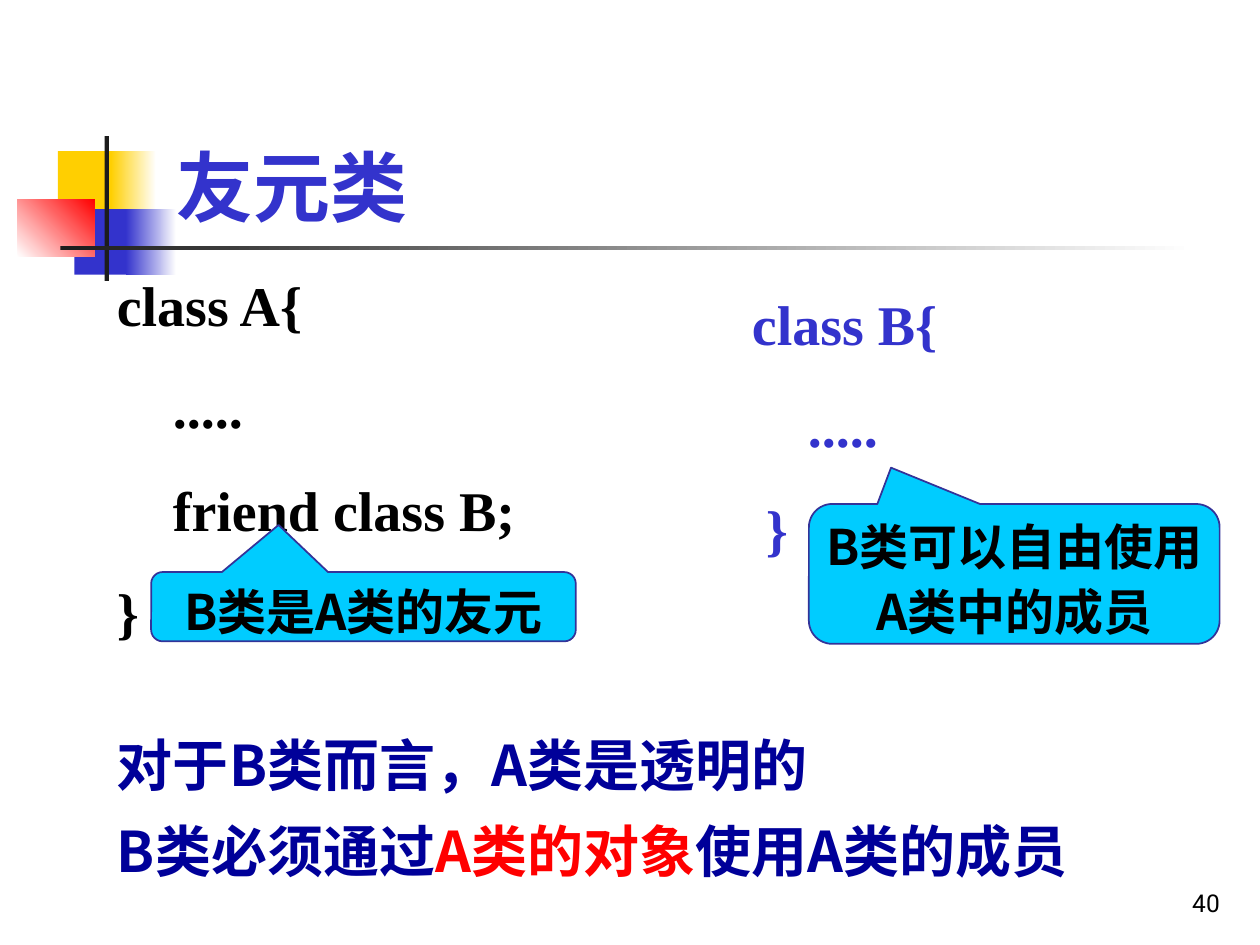
from dataclasses import dataclass
from typing import Optional

from lxml import etree
from pptx import Presentation
from pptx.dml.color import RGBColor
from pptx.enum.shapes import MSO_SHAPE
from pptx.enum.text import MSO_ANCHOR, MSO_AUTO_SIZE, PP_ALIGN
from pptx.oxml.ns import qn
from pptx.util import Inches, Pt

CELL = Inches(0.1)
COLUMNS, ROWS = 100, 75

RECTANGLE = MSO_SHAPE.RECTANGLE
CALLOUT = MSO_SHAPE.ROUNDED_RECTANGULAR_CALLOUT
TOP, BOTTOM = MSO_ANCHOR.TOP, MSO_ANCHOR.BOTTOM
LEFT, CENTER, RIGHT = PP_ALIGN.LEFT, PP_ALIGN.CENTER, PP_ALIGN.RIGHT
NO_AUTOFIT = MSO_AUTO_SIZE.NONE

WHITE = RGBColor(0xFF, 0xFF, 0xFF)
BLACK = RGBColor(0x00, 0x00, 0x00)
CHARCOAL = RGBColor(0x1C, 0x1C, 0x1C)
YELLOW = RGBColor(0xFF, 0xCF, 0x01)
BLUE = RGBColor(0x33, 0x33, 0xCC)
RED = RGBColor(0xFF, 0x00, 0x00)
NAVY = RGBColor(0x00, 0x00, 0x99)
CYAN = RGBColor(0x00, 0xCC, 0xFF)
OUTLINE = RGBColor(0x33, 0x33, 0x99)

SERIF = "Times New Roman"
CHINESE = "Noto Sans CJK SC"
NUMERALS = "Roboto"


@dataclass(frozen=True)
class Area:
    """A place on the grid, in columns and rows."""
    column: float
    row: float
    columns: float
    rows: float

    def lengths(self) -> list[int]:
        return [round(n * CELL) for n in (self.column, self.row, self.columns, self.rows)]


@dataclass(frozen=True)
class Block:
    """A decorative bar, plain or fading from color to fade."""
    area: Area
    color: RGBColor
    fade: Optional[RGBColor] = None
    angle: float = 0


@dataclass(frozen=True)
class Style:
    size: float
    color: RGBColor
    font: str = CHINESE
    bold: bool = True
    align: PP_ALIGN = LEFT
    line_spacing: float = 1.0
    space_between: float = 20


@dataclass(frozen=True)
class Passage:
    """Lines of text; each line is a list of (words, own color) pieces."""
    area: Area
    lines: list[list[tuple[str, Optional[RGBColor]]]]
    style: Style
    anchor: MSO_ANCHOR = TOP


@dataclass(frozen=True)
class Callout:
    area: Area
    words: str
    tip: tuple[float, float]
    wrap: bool


def plain(*lines: str) -> list[list[tuple[str, Optional[RGBColor]]]]:
    return [[(line, None)] for line in lines]


BLOCKS = [
    Block(Area(4.6, 12, 4.8, 5.2), YELLOW),
    Block(Area(8.8, 12, 3.6, 5.2), YELLOW, WHITE),
    Block(Area(5.9, 16.6, 4.6, 5.2), BLUE),
    Block(Area(10, 16.6, 4, 5.2), BLUE, WHITE),
    Block(Area(1.4, 15.8, 6.1, 4.6), WHITE, RED, 45),
    Block(Area(8.3, 10.8, 0.35, 11.5), CHARCOAL),
    Block(Area(4.8, 19.5, 90, 0.35), CHARCOAL, WHITE),
]

TITLE_AREA = Area(13, 8.4, 22.5, 10.6)
TITLE_STYLE = Style(44, BLUE, SERIF, line_spacing=1.3)
CALLOUT_STYLE = Style(28, BLACK, align=CENTER, line_spacing=1.1)
REMARK_STYLE = Style(32, NAVY)

PASSAGES = [
    Passage(Area(8.3, 21, 36.7, 30.7),
            plain("class A{", "    .....", "    friend class B;", "}"),
            Style(32, BLACK, SERIF)),
    Passage(Area(58.7, 22.5, 36.7, 22.6),
            plain("class B{", "    .....", " }"),
            Style(32, BLUE, SERIF)),
    Passage(Area(8.3, 57.5, 64.2, 6.4), plain("对于B类而言，A类是透明的"), REMARK_STYLE),
    Passage(Area(8.3, 64.3, 85.8, 6.4),
            [[("B类必须通过", None), ("A类的对象", RED), ("使用A类的成员", None)]],
            REMARK_STYLE),
    Passage(Area(77, 68.3, 20.8, 5), plain("40"),
            Style(14, BLACK, NUMERALS, bold=False, align=RIGHT), BOTTOM),
]

CALLOUTS = [
    Callout(Area(12, 45.4, 33.7, 5.5), "B类是A类的友元", (-0.2, -1.18), False),
    Callout(Area(64.2, 40, 32.6, 11.1), "B类可以自由使用A类中的成员", (-0.3, -0.76), True),
]


def write(frame, lines, style: Style, anchor: MSO_ANCHOR = TOP, wrap: bool = True) -> None:
    frame.word_wrap = wrap
    frame.auto_size = NO_AUTOFIT
    frame.vertical_anchor = anchor
    for index, pieces in enumerate(lines):
        paragraph = frame.add_paragraph() if index else frame.paragraphs[0]
        paragraph.alignment = style.align
        paragraph.line_spacing = style.line_spacing
        paragraph.space_before = Pt(style.space_between if index else 0)
        font = paragraph.font
        font.name, font.size, font.bold = style.font, Pt(style.size), style.bold
        font.color.rgb = style.color
        for words, color in pieces:
            run = paragraph.add_run()
            run.text = words
            if color is not None:
                run.font.color.rgb = color
            east_asian = etree.SubElement(run.font._element, qn("a:ea"))
            east_asian.set("typeface", CHINESE)


def draw_block(slide, block: Block) -> None:
    shape = slide.shapes.add_shape(RECTANGLE, *block.area.lengths())
    shape.shadow.inherit = False
    shape.line.fill.background()
    if block.fade is None:
        shape.fill.solid()
        shape.fill.fore_color.rgb = block.color
        return
    shape.fill.gradient()
    shape.fill.gradient_angle = block.angle
    for stop, color in zip(shape.fill.gradient_stops, (block.color, block.fade)):
        stop.color.rgb = color


def draw_passage(slide, passage: Passage) -> None:
    box = slide.shapes.add_textbox(*passage.area.lengths())
    write(box.text_frame, passage.lines, passage.style, passage.anchor)


def draw_callout(slide, callout: Callout) -> None:
    shape = slide.shapes.add_shape(CALLOUT, *callout.area.lengths())
    shape.shadow.inherit = False
    shape.adjustments[0], shape.adjustments[1] = callout.tip
    shape.fill.solid()
    shape.fill.fore_color.rgb = CYAN
    shape.line.color.rgb = OUTLINE
    shape.line.width = Pt(1)
    frame = shape.text_frame
    frame.margin_left = frame.margin_right = Inches(0.02)
    frame.margin_top = frame.margin_bottom = 0
    write(frame, plain(callout.words), CALLOUT_STYLE, wrap=callout.wrap)


def main() -> None:
    presentation = Presentation()
    presentation.slide_width = COLUMNS * CELL
    presentation.slide_height = ROWS * CELL
    slide = presentation.slides.add_slide(presentation.slide_layouts[5])

    title = slide.shapes.title
    title.left, title.top, title.width, title.height = TITLE_AREA.lengths()
    write(title.text_frame, plain("友元类"), TITLE_STYLE)

    for block in BLOCKS:
        draw_block(slide, block)
    for passage in PASSAGES:
        draw_passage(slide, passage)
    for callout in CALLOUTS:
        draw_callout(slide, callout)
    presentation.save("out.pptx")


if __name__ == "__main__":
    main()
